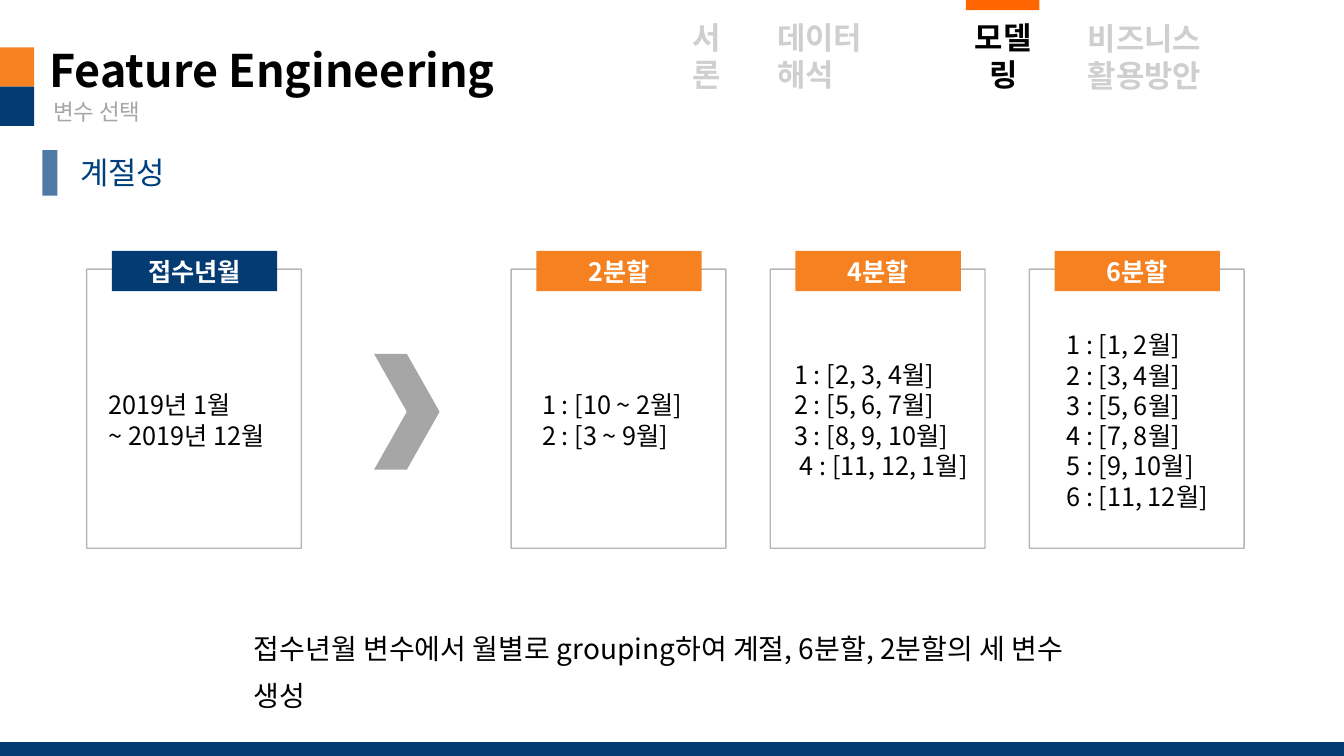
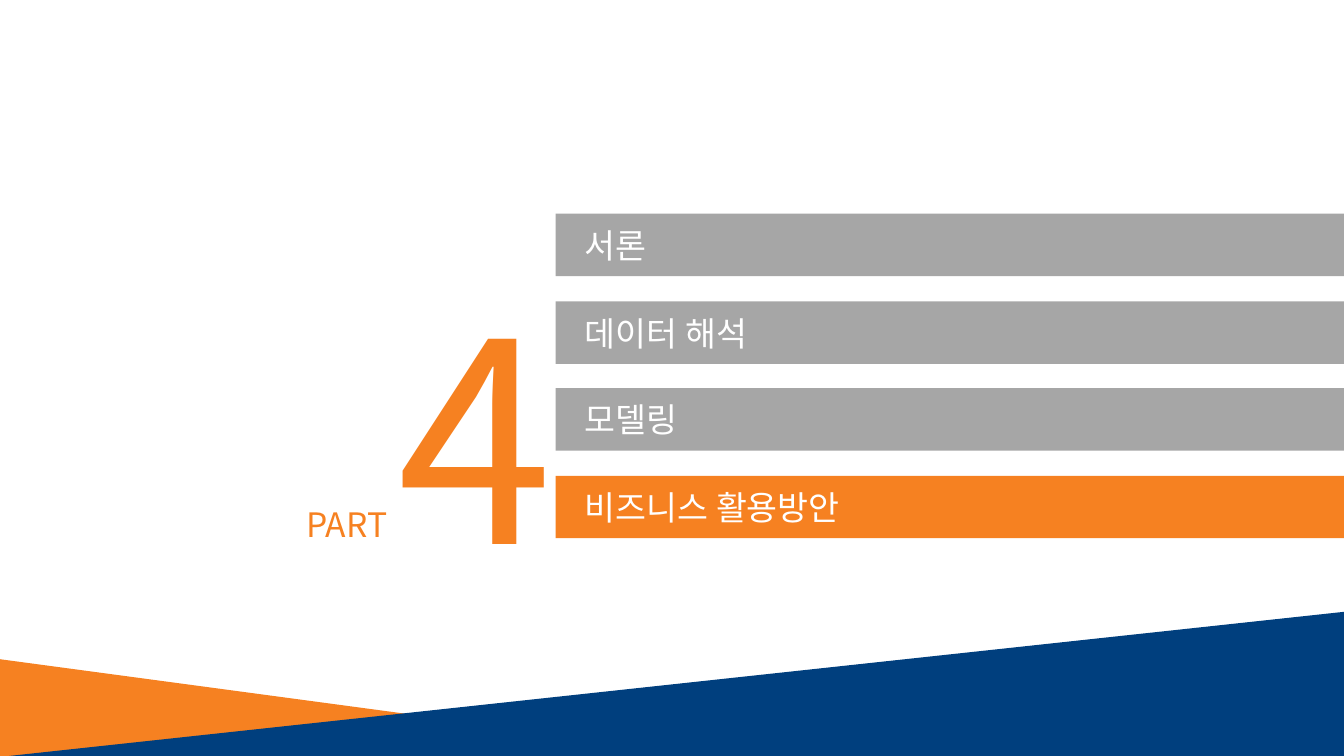
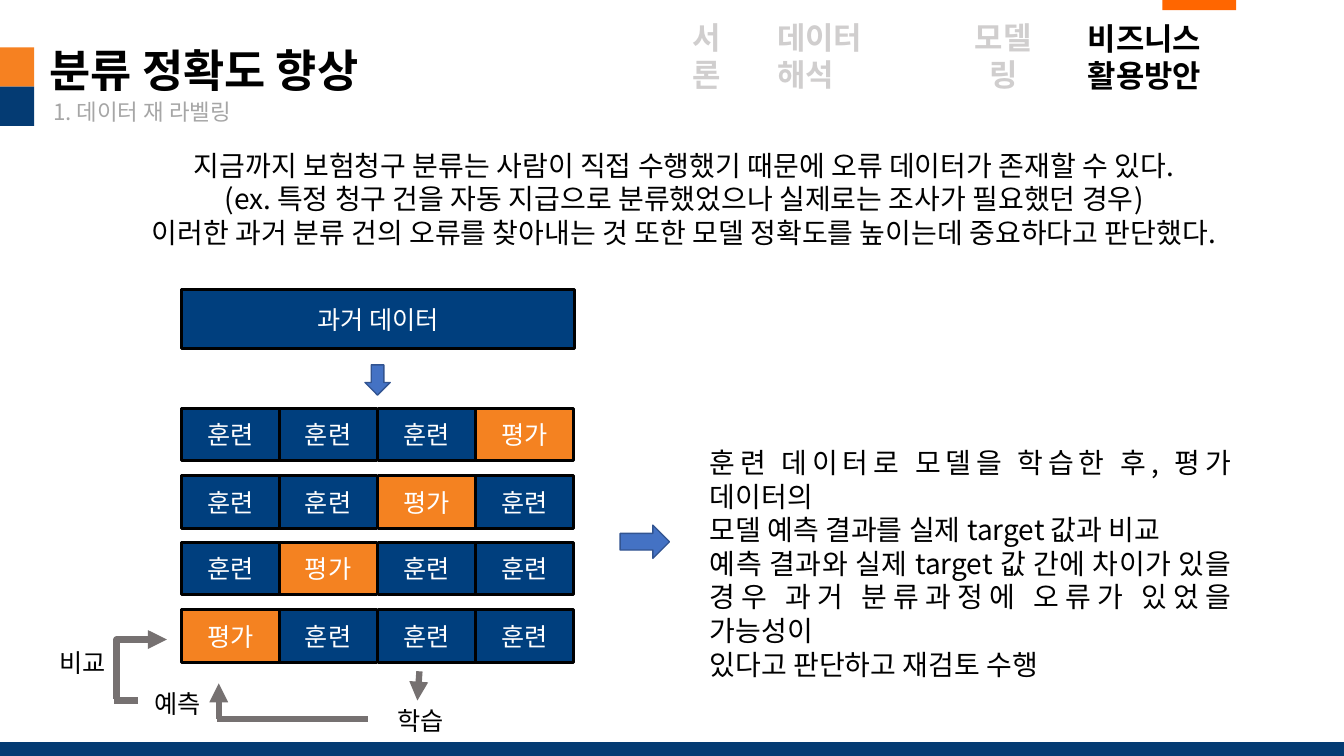
"""Build three slides on seasonal features, the section divider and label checking."""
from dataclasses import dataclass

from lxml import etree
from pptx import Presentation
from pptx.dml.color import RGBColor
from pptx.enum.shapes import MSO_CONNECTOR, MSO_SHAPE
from pptx.enum.text import MSO_ANCHOR, PP_ALIGN
from pptx.oxml.ns import qn
from pptx.util import Pt

PX = 9144
RECTANGLE, CHEVRON, TRIANGLE = MSO_SHAPE.RECTANGLE, MSO_SHAPE.CHEVRON, MSO_SHAPE.ISOSCELES_TRIANGLE
RIGHT_ARROW, DOWN_ARROW = MSO_SHAPE.RIGHT_ARROW, MSO_SHAPE.DOWN_ARROW
STRAIGHT, ELBOW = MSO_CONNECTOR.STRAIGHT, MSO_CONNECTOR.ELBOW
LEFT, CENTER, JUSTIFY = PP_ALIGN.LEFT, PP_ALIGN.CENTER, PP_ALIGN.JUSTIFY
TOP, MIDDLE = MSO_ANCHOR.TOP, MSO_ANCHOR.MIDDLE


@dataclass(frozen=True)
class Theme:
    font: str = "Noto Sans CJK KR"
    navy: str = "043B73"
    blue: str = "003F7E"
    orange: str = "F68121"
    marker: str = "FF6600"
    test: str = "F48221"
    gray: str = "A6A6A6"
    pale: str = "D0CECE"
    frame: str = "808080"
    arrow: str = "4472C4"
    arrow_edge: str = "325491"
    flow: str = "767171"
    black: str = "000000"
    white: str = "FFFFFF"
    number: int = 200
    title: int = 32
    agenda: int = 24
    heading: int = 22
    body: int = 20
    label: int = 18
    subtitle: int = 16


theme = Theme()


def add_box(slide, kind, frame, fill=None, edge=None, weight=1, alpha=100):
    box = slide.shapes.add_shape(kind, *(value * PX for value in frame))
    box.shadow.inherit = False
    if fill:
        box.fill.solid()
        box.fill.fore_color.rgb = RGBColor.from_string(fill)
    else:
        box.fill.background()
    if edge:
        box.line.color.rgb = RGBColor.from_string(edge)
        box.line.width = Pt(weight)
    else:
        box.line.fill.background()
    if alpha < 100:
        for colour in box._element.spPr.iter(qn("a:srgbClr")):
            etree.SubElement(colour, qn("a:alpha"), val=str(alpha * 1000))
    return box


def write(slide, target, lines, size, colour, align=LEFT, anchor=TOP, bold=False):
    if isinstance(target, tuple):
        target = slide.shapes.add_textbox(*(value * PX for value in target))
    frame = target.text_frame
    frame.text = lines
    frame.word_wrap = True
    frame.vertical_anchor = anchor
    for paragraph in frame.paragraphs:
        paragraph.alignment = align
        for span in paragraph.runs:
            span.font.name = theme.font
            etree.SubElement(span._r.get_or_add_rPr(), qn("a:ea"), typeface=theme.font)
            span.font.size = Pt(size)
            span.font.bold = bold
            span.font.color.rgb = RGBColor.from_string(colour)
    return frame


deck = Presentation()
deck.slide_width, deck.slide_height = 1333 * PX, 750 * PX
season, divider, relabel = [deck.slides.add_slide(deck.slide_layouts[5]) for _ in range(3)]
sections = ["서론", "데이터 해석", "모델링", "비즈니스 활용방안"]
tabs = [(664, 14, 73, 47), (761, 14, 160, 47), (945, 14, 100, 47), (1069, 15, 249, 47)]
connectors = []

titles = [
    (season, "Feature Engineering", (39, 37, 587, 64), theme.title, theme.black, True),
    (divider, "PART", (294, 495, 134, 50), theme.agenda, theme.orange, False),
    (relabel, "분류 정확도 향상", (39, 37, 501, 64), theme.title, theme.black, True),
]
for slide, heading, place, size, colour, bold in titles:
    title = slide.shapes.title
    title.left, title.top, title.width, title.height = (value * PX for value in place)
    write(slide, title, heading, size, colour, bold=bold)

headers = [
    (season, "변수 선택", 2, 958),
    (relabel, "1. 데이터 재 라벨링", 3, 1153),
]
for slide, subheading, active, marker_left in headers:
    write(slide, (43, 92, 301, 37), subheading, theme.subtitle, theme.gray)
    add_box(slide, RECTANGLE, (0, 47, 34, 39), theme.orange)
    add_box(slide, RECTANGLE, (0, 86, 34, 39), theme.navy)
    for index, (section, tab) in enumerate(zip(sections, tabs)):
        colour = theme.black if index == active else theme.pale
        align = CENTER if index in (0, 2) else LEFT
        write(slide, tab, section, theme.heading, colour, align, bold=True)
    add_box(slide, RECTANGLE, (marker_left, 0, 73, 10), theme.marker)
    connectors.append((slide, STRAIGHT, (0, 743, 1333, 743), theme.navy, 10, False))

write(season, (57, 148, 129, 47), "계절성", theme.heading, theme.blue, CENTER)
add_box(season, RECTANGLE, (42, 149, 15, 45), theme.blue, alpha=69)
add_box(season, CHEVRON, (371, 351, 65, 115), theme.gray)
summary = write(season, (242, 608, 850, 53),
                "접수년월 변수에서 월별로 grouping하여 계절, 6분할, 2분할의 세 변수 생성",
                theme.body, theme.black)
summary.paragraphs[0].line_spacing = 1.4

cards = [
    (86, "접수년월", theme.navy, (98, 381, 182, 71), 0, ["2019년 1월", "~ 2019년 12월"]),
    (507, "2분할", theme.orange, (528, 381, 168, 71), 0, ["1 : [10 ~ 2월]", "2 : [3 ~ 9월]"]),
    (764, "4분할", theme.orange, (767, 351, 208, 131), 11,
     ["1 : [2, 3, 4월]", "2 : [5, 6, 7월]", "3 : [8, 9, 10월]", "4 : [11, 12, 1월]"]),
    (1021, "6분할", theme.orange, (1037, 321, 181, 192), 11,
     ["1 : [1, 2월]", "2 : [3, 4월]", "3 : [5, 6월]", "4 : [7, 8월]", "5 : [9, 10월]", "6 : [11, 12월]"]),
]
for left, name, colour, area, indent, groups in cards:
    add_box(season, RECTANGLE, (left, 267, 213, 277), edge=theme.frame, alpha=56)
    tag = add_box(season, RECTANGLE, (left + 25, 249, 164, 40), colour)
    write(season, tag, name, theme.label, theme.white, CENTER, MIDDLE, True)
    months = write(season, area, "\n".join(groups), theme.label, theme.black, anchor=MIDDLE)
    for paragraph in months.paragraphs:
        paragraph._p.get_or_add_pPr().set("indent", str(indent * PX))
    if len(groups) == 4:
        months.paragraphs[3].alignment = CENTER

add_box(divider, TRIANGLE, (0, 654, 714, 96), theme.orange).adjustments[0] = 0
add_box(divider, TRIANGLE, (9, 607, 1324, 143), theme.blue).adjustments[0] = 1
for index, section in enumerate(sections):
    colour = theme.orange if index == 3 else theme.gray
    bar = add_box(divider, RECTANGLE, (551, 212 + round(index * 86.7), 782, 62), colour)
    write(divider, bar, section, theme.agenda, theme.white, anchor=MIDDLE).margin_left = 29 * PX
write(divider, (384, 257, 170, 347), "4", theme.number, theme.orange)

write(relabel, (130, 142, 1097, 111),
      "지금까지 보험청구 분류는 사람이 직접 수행했기 때문에 오류 데이터가 존재할 수 있다.\n"
      "(ex. 특정 청구 건을 자동 지급으로 분류했었으나 실제로는 조사가 필요했던 경우)\n"
      "이러한 과거 분류 건의 오류를 찾아내는 것 또한 모델 정확도를 높이는데 중요하다고 판단했다.",
      theme.body, theme.black, CENTER)
past = add_box(relabel, RECTANGLE, (180, 287, 390, 59), theme.blue, theme.black, 2)
write(relabel, past, "과거 데이터", theme.label, theme.white, CENTER, MIDDLE)
for row in range(4):
    for column in range(4):
        name, colour = ("평가", theme.test) if row + column == 3 else ("훈련", theme.blue)
        place = (180 + round(column * 97.4), 405 + round(row * 66.7), 97, 52)
        fold = add_box(relabel, RECTANGLE, place, colour, theme.black, 2)
        write(relabel, fold, name, theme.label, theme.white, CENTER, MIDDLE)
add_box(relabel, DOWN_ARROW, (362, 362, 25, 30), theme.arrow, theme.arrow_edge)
add_box(relabel, RIGHT_ARROW, (615, 521, 49, 33), theme.arrow, theme.arrow_edge)
review = write(relabel, (694, 437, 537, 178),
               "훈련 데이터로 모델을 학습한 후, 평가 데이터의\n"
               "모델 예측 결과를 실제 target 값과 비교\n"
               "예측 결과와 실제 target 값 간에 차이가 있을 경우 과거 분류과정에 오류가 있었을 가능성이\n"
               "있다고 판단하고 재검토 수행",
               theme.body, theme.black)
for index in (0, 2):
    review.paragraphs[index].alignment = JUSTIFY
for name, left, top in [("학습", 384, 695), ("예측", 143, 678), ("비교", 49, 637)]:
    write(relabel, (left, top, 72, 40), name, theme.label, theme.black)

flows = [
    (STRAIGHT, (416, 666, 414, 695), True),
    (STRAIGHT, (217, 713, 217, 678), True),
    (STRAIGHT, (215, 713, 365, 713), False),
    (ELBOW, (170, 689, 111, 639), True),
    (STRAIGHT, (113, 695, 137, 695), False),
]
connectors += [(relabel, kind, ends, theme.flow, 4.5, head) for kind, ends, head in flows]
for slide, kind, ends, colour, weight, head in connectors:
    connector = slide.shapes.add_connector(kind, *(value * PX for value in ends))
    connector.line.color.rgb = RGBColor.from_string(colour)
    connector.line.width = Pt(weight)
    properties = connector._element.spPr
    if head:
        etree.SubElement(properties.find(qn("a:ln")), qn("a:tailEnd"), type="triangle")
    if kind == ELBOW:
        properties.find(qn("a:xfrm")).set("rot", "5400000")
        properties.find(qn("a:prstGeom")).set("prst", "bentConnector2")
    etree.SubElement(properties, qn("a:effectLst"))

deck.save("out.pptx")
